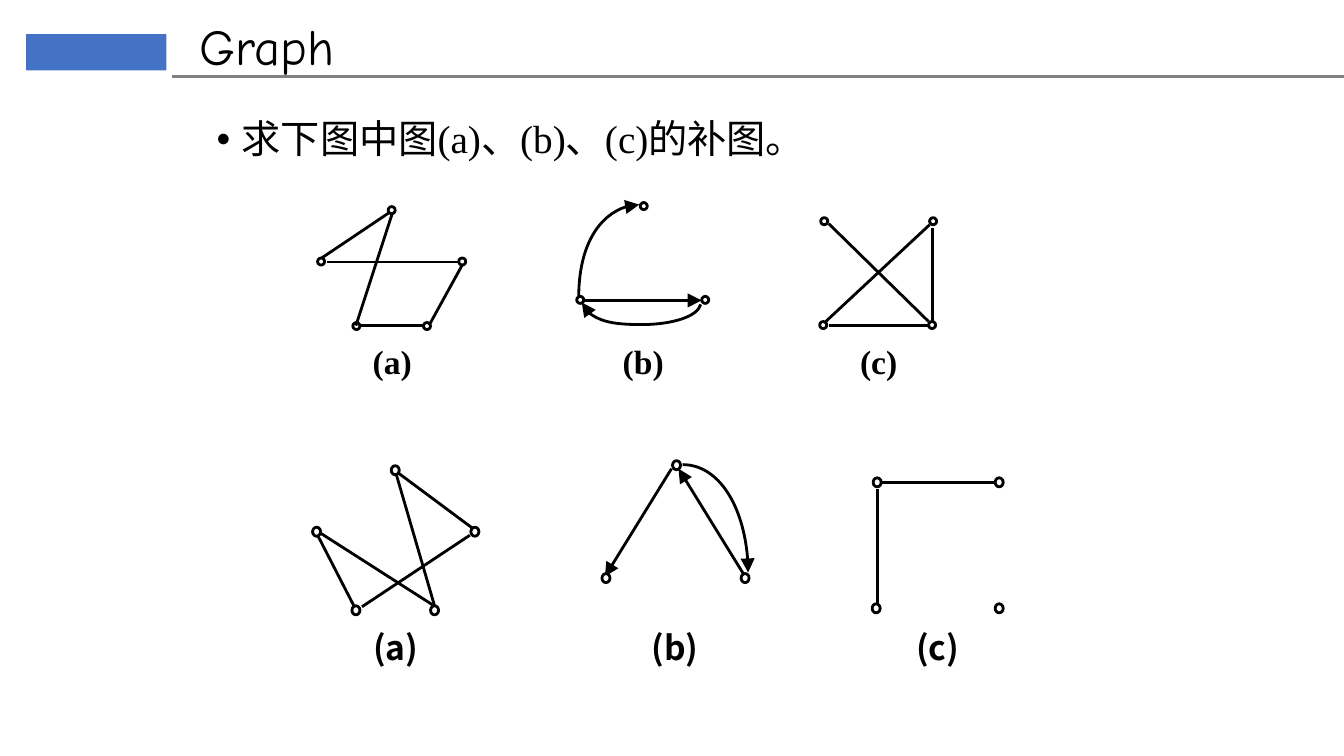
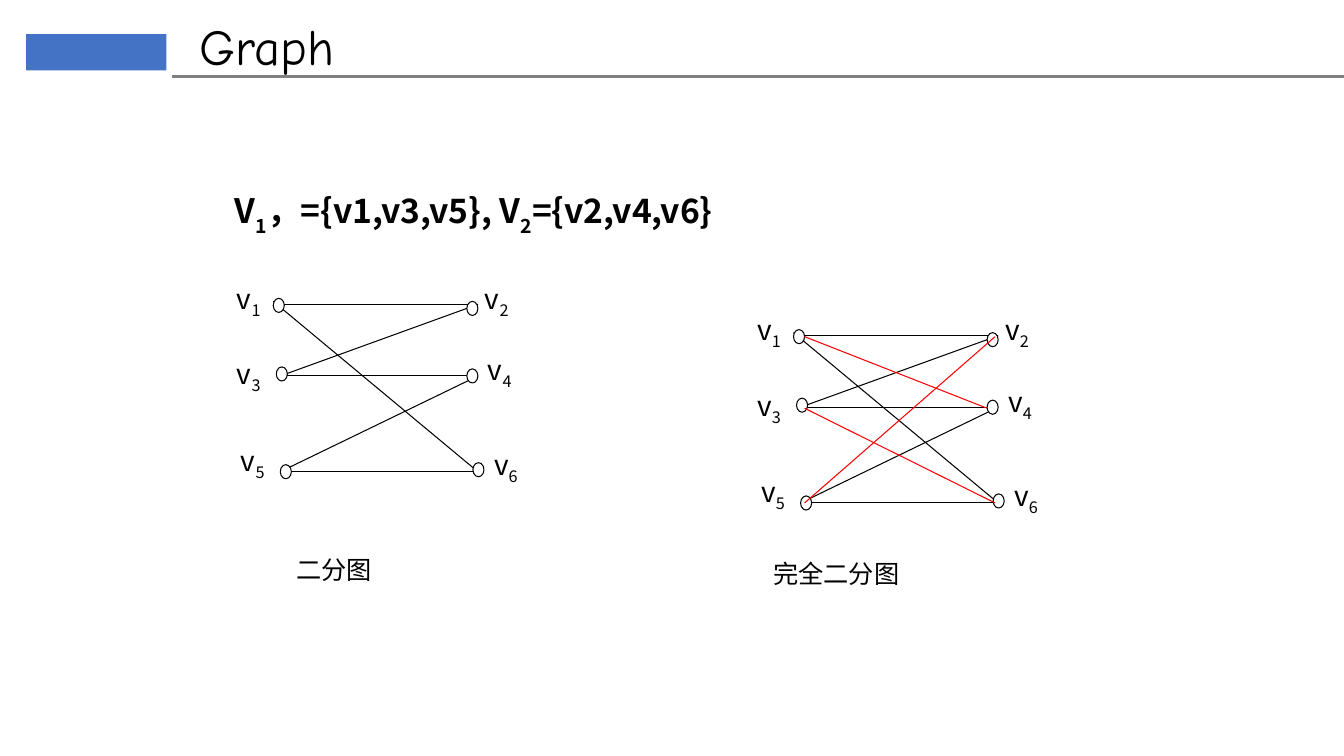
from dataclasses import dataclass
from typing import NamedTuple

from pptx import Presentation
from pptx.dml.color import RGBColor
from pptx.enum.dml import MSO_FILL
from pptx.enum.shapes import MSO_CONNECTOR, MSO_SHAPE
from pptx.enum.text import MSO_ANCHOR, MSO_AUTO_SIZE, PP_ALIGN
from pptx.oxml.ns import qn
from pptx.util import Emu, Pt
from lxml.etree import SubElement

EMU_PER_PX = 9144  # 100 px to the inch


@dataclass(frozen=True)
class TextStyle:
    font: str
    size: int
    color: str = "000000"
    bold: bool = False


@dataclass(frozen=True)
class Theme:
    ink: str = "000000"
    paper: str = "FFFFFF"
    accent: str = "4472C4"
    rule: str = "808080"
    added_edge: str = "FF0000"
    bold_line: float = 2
    thin_line: float = 0.75
    cjk_font: str = "Noto Sans CJK SC"
    title: TextStyle = TextStyle("Comic Neue", 36)
    task: TextStyle = TextStyle("Times New Roman", 28)
    question_caption: TextStyle = TextStyle("Times New Roman", 24, bold=True)
    answer_caption: TextStyle = TextStyle("Noto Sans CJK SC", 24, bold=True)
    formula: TextStyle = TextStyle("Noto Sans CJK SC", 24, bold=True)
    vertex_label: TextStyle = TextStyle("Noto Sans CJK SC", 20)
    graph_name: TextStyle = TextStyle("Noto Sans CJK SC", 18)


THEME = Theme()


class Box(NamedTuple):
    left: int
    top: int
    width: int
    height: int

    def emu(self) -> list[Emu]:
        return [px(length) for length in self]


class Piece(NamedTuple):
    text: str
    baseline: int = 0


class Edge(NamedTuple):
    x1: int
    y1: int
    x2: int
    y2: int
    arrow: bool = False
    color: str = THEME.ink


class Vertex(NamedTuple):
    left: int
    top: int
    label: str = ""
    label_left: int = 0
    label_top: int = 0


@dataclass(frozen=True)
class Graph:
    caption: str
    caption_box: Box
    vertices: list[Vertex]
    edges: list[Edge]
    curves: tuple[list[tuple[int, int]], ...] = ()


QUESTIONS = [
    Graph("(a)", Box(367, 338, 44, 37),
          [Vertex(350, 320), Vertex(315, 256), Vertex(420, 320), Vertex(385, 205), Vertex(455, 256)],
          [Edge(324, 260, 456, 260), Edge(389, 212, 353, 323), Edge(386, 211, 319, 256),
           Edge(459, 262, 426, 322), Edge(356, 323, 422, 323)]),
    Graph("(b)", Box(606, 338, 64, 37),
          [Vertex(572, 294), Vertex(696, 294), Vertex(635, 201)],
          [Edge(579, 298, 696, 298, arrow=True)],
          ([(574, 295), (574, 244), (600, 203), (634, 203)],
           [(695, 302), (692, 314), (667, 322), (636, 322), (603, 322), (577, 312), (577, 300)])),
    Graph("(c)", Box(841, 338, 61, 37),
          [Vertex(813, 319), Vertex(814, 216), Vertex(921, 319), Vertex(922, 216)],
          [Edge(922, 223, 819, 319), Edge(925, 226, 925, 319),
           Edge(822, 323, 921, 323), Edge(822, 222, 921, 319)]),
]

ANSWERS = [
    Graph("(a)", Box(357, 622, 71, 45),
          [Vertex(349, 601), Vertex(427, 601), Vertex(467, 523), Vertex(388, 462), Vertex(310, 523)],
          [Edge(392, 467, 431, 601), Edge(466, 531, 359, 602), Edge(318, 529, 429, 600),
           Edge(392, 467, 470, 525), Edge(314, 529, 351, 601)]),
    Graph("(b)", Box(634, 622, 71, 45),
          [Vertex(597, 569), Vertex(667, 457), Vertex(735, 569)],
          [Edge(666, 465, 600, 572, arrow=True), Edge(739, 572, 673, 465, arrow=True)],
          ([(677, 461), (713, 461), (742, 509), (742, 568)],)),
    Graph("(c)", Box(896, 622, 68, 45),
          [Vertex(865, 599), Vertex(866, 474), Vertex(987, 474), Vertex(987, 599)],
          [Edge(875, 479, 986, 479), Edge(870, 485, 870, 601)]),
]

BIPARTITE = Graph(
    "二分图", Box(294, 550, 260, 40),
    [Vertex(271, 296, "1", 235, 279), Vertex(274, 364, "3", 235, 354),
     Vertex(463, 299, "2", 481, 279), Vertex(463, 366, "4", 484, 350),
     Vertex(469, 459, "6", 490, 444), Vertex(278, 461, "5", 239, 440)],
    [Edge(278, 302, 474, 302), Edge(271, 299, 474, 468), Edge(278, 373, 474, 302),
     Edge(278, 373, 474, 373), Edge(278, 468, 474, 373), Edge(278, 468, 474, 468)])
COMPLETE_SHIFT = (516, 31)
COMPLETING_EDGES = [Edge(798, 334, 979, 405, color=THEME.added_edge),
                    Edge(798, 405, 987, 499, color=THEME.added_edge),
                    Edge(798, 499, 987, 334, color=THEME.added_edge)]


def px(length: int) -> Emu:
    return Emu(length * EMU_PER_PX)


def add_runs(paragraph, pieces: list[Piece], style: TextStyle) -> None:
    for piece in pieces:
        run = paragraph.add_run()
        run.text = piece.text
        font = run.font
        font.name, font.size, font.bold = style.font, Pt(style.size), style.bold
        font.color.rgb = RGBColor.from_string(style.color)
        properties = run._r.get_or_add_rPr()
        SubElement(properties, qn("a:ea")).set("typeface", THEME.cjk_font)
        if piece.baseline:
            properties.set("baseline", str(piece.baseline * 1000))


def add_text(slide, box: Box, pieces: list[Piece], style: TextStyle,
             inset: tuple[int, int] = (0, 0), align=PP_ALIGN.LEFT):
    """Add a one-paragraph text box; inset is horizontal, then vertical."""
    textbox = slide.shapes.add_textbox(*box.emu())
    frame = textbox.text_frame
    frame.word_wrap = True
    frame.margin_left = frame.margin_right = px(inset[0])
    frame.margin_top = frame.margin_bottom = px(inset[1])
    paragraph = frame.paragraphs[0]
    paragraph.alignment = align
    add_runs(paragraph, pieces, style)
    return textbox


def style_line(shape, color: str, weight: float, arrow: bool = False) -> None:
    shape.line.color.rgb = RGBColor.from_string(color)
    shape.line.width = Pt(weight)
    if arrow:
        head = SubElement(shape.line._get_or_add_ln(), qn("a:tailEnd"))
        for key, value in (("type", "triangle"), ("w", "lg"), ("len", "lg")):
            head.set(key, value)


def add_edge(slide, edge: Edge, weight: float):
    ends = [px(length) for length in edge[:4]]
    connector = slide.shapes.add_connector(MSO_CONNECTOR.STRAIGHT, *ends)
    style_line(connector, edge.color, weight, edge.arrow)
    SubElement(connector._element.spPr, qn("a:effectLst"))
    return connector


def add_curved_arrow(slide, points: list[tuple[int, int]]) -> None:
    """Draw cubic curves: a start point, then three points for each curve."""
    start, *controls = [(px(x), px(y)) for x, y in points]
    builder = slide.shapes.build_freeform(*start, scale=1.0)
    builder.add_line_segments(controls, close=False)
    arc = builder.convert_to_shape()
    outline = next(arc._element.iter(qn("a:path")))
    segments = outline.findall(qn("a:lnTo"))
    for first in range(0, len(segments), 3):
        cubic = SubElement(outline, qn("a:cubicBezTo"))
        for segment in segments[first:first + 3]:
            cubic.append(segment[0])
            outline.remove(segment)
    arc.fill.background()
    arc.shadow.inherit = False
    style_line(arc, THEME.ink, THEME.bold_line, arrow=True)


def add_vertex(slide, vertex: Vertex, size: tuple[int, int], weight: float,
               fill: MSO_FILL = MSO_FILL.SOLID) -> None:
    box = Box(vertex.left, vertex.top, *size)
    circle = slide.shapes.add_shape(MSO_SHAPE.OVAL, *box.emu())
    if fill == MSO_FILL.SOLID:
        circle.fill.solid()
        circle.fill.fore_color.rgb = RGBColor.from_string(THEME.paper)
    else:
        circle.fill.background()
    circle.shadow.inherit = False
    style_line(circle, THEME.ink, weight)
    if vertex.label:
        add_text(slide, Box(vertex.label_left, vertex.label_top, 50, 47),
                 [Piece("v"), Piece(vertex.label, -25)], THEME.vertex_label)


def add_small_graph(slide, graph: Graph, size: tuple[int, int], caption: TextStyle,
                    fill: MSO_FILL) -> None:
    for edge in graph.edges:
        add_edge(slide, edge, THEME.bold_line)
    for curve in graph.curves:
        add_curved_arrow(slide, curve)
    for vertex in graph.vertices:
        add_vertex(slide, vertex, size, THEME.bold_line, fill)
    add_text(slide, graph.caption_box, [Piece(graph.caption)], caption, align=PP_ALIGN.CENTER)


def add_bipartite_graph(slide, graph: Graph) -> None:
    for edge in graph.edges:
        add_edge(slide, edge, THEME.thin_line)
    for vertex in graph.vertices:
        add_vertex(slide, vertex, (11, 14), THEME.thin_line)
    add_text(slide, graph.caption_box, [Piece(graph.caption)], THEME.graph_name)


def shifted(graph: Graph, caption: str, caption_box: Box, dx: int, dy: int) -> Graph:
    vertices = [Vertex(v.left + dx, v.top + dy, v.label, v.label_left + dx, v.label_top + dy)
                for v in graph.vertices]
    edges = [Edge(e.x1 + dx, e.y1 + dy, e.x2 + dx, e.y2 + dy) for e in graph.edges]
    return Graph(caption, caption_box, vertices, edges)


def add_titled_slide(deck, layout):
    slide = deck.slides.add_slide(layout)
    title = slide.shapes.title
    title.left, title.top, title.width, title.height = Box(188, 10, 862, 71).emu()
    frame = title.text_frame
    frame.auto_size = MSO_AUTO_SIZE.SHAPE_TO_FIT_TEXT
    frame.vertical_anchor = MSO_ANCHOR.TOP
    frame.paragraphs[0].alignment = PP_ALIGN.LEFT
    add_runs(frame.paragraphs[0], [Piece("Graph")], THEME.title)
    return slide


def move_header_to_layout(slide, layout) -> None:
    """Draw the header band once and hand it to the layout for every slide."""
    block = slide.shapes.add_shape(MSO_SHAPE.RECTANGLE, *Box(26, 34, 139, 36).emu())
    block.fill.solid()
    block.fill.fore_color.rgb = RGBColor.from_string(THEME.accent)
    block.line.fill.background()
    block.shadow.inherit = False
    rule = add_edge(slide, Edge(171, 76, 1333, 76, color=THEME.rule), THEME.bold_line)
    for part in (block, rule):
        layout.shapes.element.append(part._element)


def fill_complement_slide(slide) -> None:
    task = add_text(slide, Box(205, 114, 882, 66), [Piece("求下图中图(a)、(b)、(c)的补图。")],
                    THEME.task, inset=(10, 5))
    paragraph = task.text_frame.paragraphs[0]
    paragraph.line_spacing = 0.9
    properties = paragraph._p.get_or_add_pPr()
    properties.set("marL", str(px(25)))
    properties.set("indent", str(px(-25)))
    SubElement(properties, qn("a:buFont")).set("typeface", "Arial")
    SubElement(properties, qn("a:buChar")).set("char", "•")
    for graph in QUESTIONS:
        add_small_graph(slide, graph, (7, 7), THEME.question_caption, MSO_FILL.BACKGROUND)
    for graph in ANSWERS:
        add_small_graph(slide, graph, (8, 9), THEME.answer_caption, MSO_FILL.SOLID)


def fill_bipartite_slide(slide) -> None:
    formula = add_text(slide, Box(223, 169, 819, 102),
                       [Piece("V"), Piece("1", -30), Piece("，={v1,v3,v5}, V"),
                        Piece("2", -30), Piece("={v2,v4,v6}")], THEME.formula, inset=(10, 5))
    formula.text_frame.paragraphs[0].line_spacing = 1.3
    add_bipartite_graph(slide, BIPARTITE)
    add_bipartite_graph(slide, shifted(BIPARTITE, "完全二分图", Box(767, 554, 260, 40),
                                       *COMPLETE_SHIFT))
    for edge in COMPLETING_EDGES:
        add_edge(slide, edge, THEME.thin_line)


def main() -> None:
    deck = Presentation()
    deck.slide_width, deck.slide_height = px(1333), px(750)
    layout = deck.slide_layouts.get_by_name("Title Only")
    complement, bipartite = (add_titled_slide(deck, layout) for _ in range(2))
    move_header_to_layout(complement, layout)
    fill_complement_slide(complement)
    fill_bipartite_slide(bipartite)
    deck.save("out.pptx")


if __name__ == "__main__":
    main()
